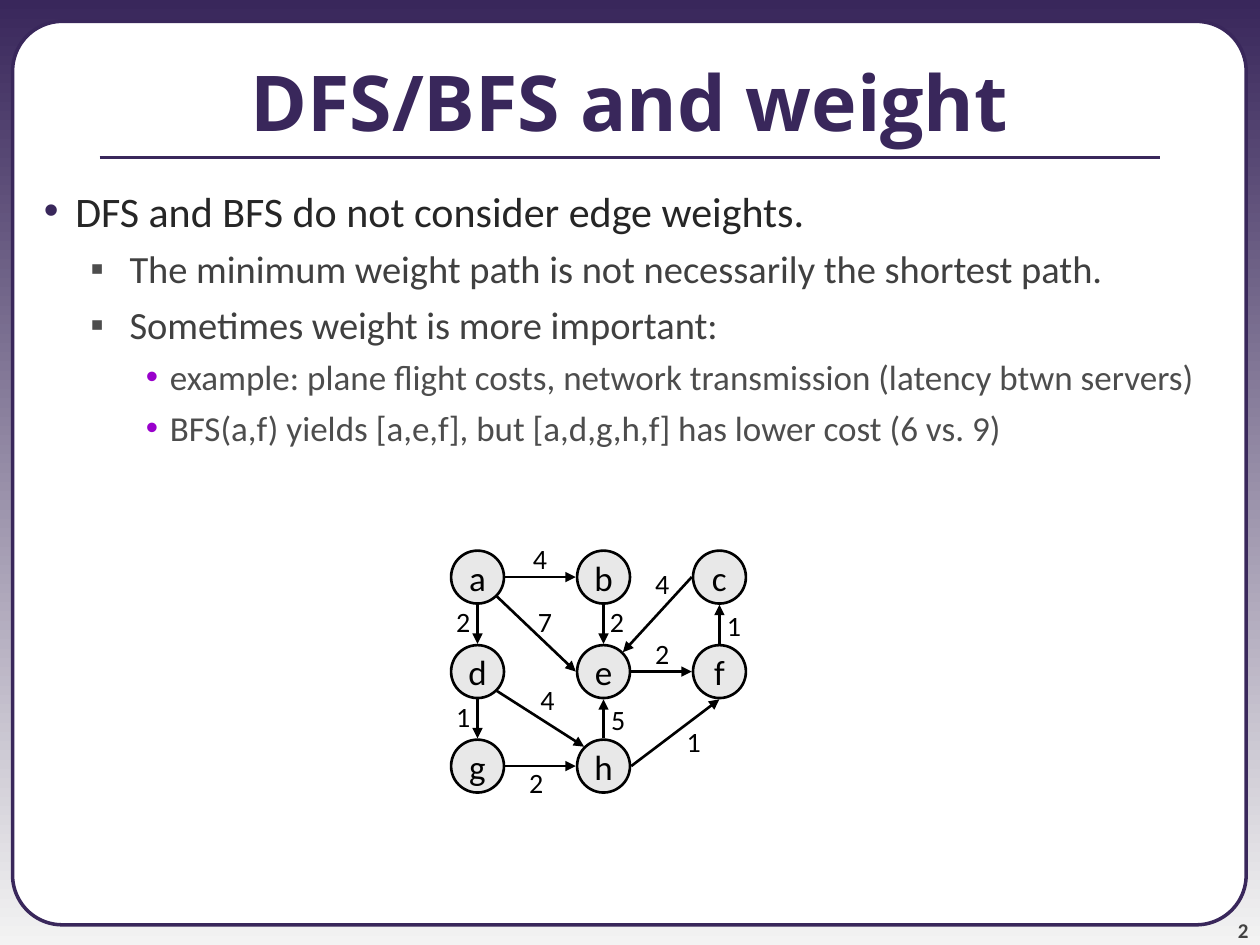
from lxml.etree import SubElement
from pptx import Presentation
from pptx.dml.color import RGBColor
from pptx.enum.shapes import MSO_CONNECTOR, MSO_SHAPE
from pptx.enum.text import MSO_ANCHOR as Anchor, MSO_AUTO_SIZE as AutoSize, PP_ALIGN as Align
from pptx.oxml.ns import qn
from pptx.util import Inches, Pt

PURPLE, BLACK = "39275B", "000000"
TITLE = "DFS/BFS and weight"
PAGE_NUMBER = "2"

LEVELS = [
    dict(size=24, color="262626", before=6, bullet=("•", PURPLE, 0.5, 0.25)),
    dict(size=22, color="404040", before=5.5, bullet=("▪", "4D4D4D", 0.93, 0.31)),
    dict(size=20, color="4D4D4D", before=5, bullet=("•", "9900CC", 1.25, 0.19)),
]
POINTS = [
    (0, "DFS and BFS do not consider edge weights."),
    (1, "The minimum weight path is not necessarily the shortest path."),
    (1, "Sometimes weight is more important:"),
    (2, "example: plane flight costs, network transmission (latency btwn servers)"),
    (2, "BFS(a,f) yields [a,e,f], but [a,d,g,h,f] has lower cost (6 vs. 9)"),
]

NODE_ROWS = ["abc", "def", "gh"]
COLUMN_CENTERS = [3.79, 4.79, 5.71]
FIRST_ROW, ROW_STEP = 4.58, 0.75
NODE_SIZE, EDGE_REACH = 0.42, 0.22
LABEL_WIDTH, LABEL_HEIGHT = 0.31, 0.37
SIDES = {
    "N": (0, -1), "S": (0, 1), "E": (1, 0), "W": (-1, 0),
    "NE": (0.7, -0.7), "NW": (-0.7, -0.7), "SE": (0.7, 0.7),
}
EDGES = [
    ("a", "E", "b", "W", "4", 4.13, 4.25),
    ("a", "SE", "e", "W", "7", 4.17, 4.75),
    ("b", "S", "e", "N", "2", 4.74, 4.75),
    ("c", "W", "e", "NE", "4", 5.1, 4.45),
    ("e", "E", "f", "W", "2", 5.1, 5),
    ("f", "N", "c", "S", "1", 5.67, 4.78),
    ("a", "S", "d", "N", "2", 3.52, 4.75),
    ("d", "S", "g", "N", "1", 3.52, 5.5),
    ("d", "SE", "h", "NW", "4", 4.19, 5.37),
    ("g", "E", "h", "W", "2", 4.1, 6.03),
    ("h", "N", "e", "S", "5", 4.75, 5.53),
    ("h", "E", "f", "S", "1", 5.35, 5.7),
]


def rgb(value):
    return RGBColor.from_string(value)


def write(paragraph, text, size=20, color=BLACK, font="Calibri", bold=False,
          align=Align.LEFT, before=0, bullet=None):
    paragraph.alignment = align
    paragraph.space_before = Pt(before)
    run = paragraph.add_run()
    run.text = text
    run.font.size = Pt(size)
    run.font.name = font
    run.font.bold = bold
    run.font.color.rgb = rgb(color)
    if bullet:
        character, bullet_color, margin, hanging = bullet
        properties = paragraph._p.get_or_add_pPr()
        properties.set("marL", str(Inches(margin)))
        properties.set("indent", str(-Inches(hanging)))
        holder = SubElement(properties, qn("a:buClr"))
        SubElement(holder, qn("a:srgbClr"), val=bullet_color)
        SubElement(properties, qn("a:buFont"), typeface="Arial")
        SubElement(properties, qn("a:buChar"), char=character)


def add_text_box(shapes, left, top, width, height, anchor=Anchor.TOP, wrap=True):
    box = shapes.add_textbox(Inches(left), Inches(top), Inches(width), Inches(height))
    box.text_frame.word_wrap = wrap
    box.text_frame.vertical_anchor = anchor
    return box.text_frame


def add_filled_shape(shapes, kind, left, top, width, height, fill, line, line_width):
    shape = shapes.add_shape(kind, Inches(left), Inches(top), Inches(width), Inches(height))
    shape.shadow.inherit = False
    shape.fill.solid()
    shape.fill.fore_color.rgb = rgb(fill)
    shape.line.color.rgb = rgb(line)
    shape.line.width = Pt(line_width)
    return shape


def add_line(shapes, start, end, color, width, arrow=False):
    line = shapes.add_connector(MSO_CONNECTOR.STRAIGHT, *map(Inches, start + end))
    line.line.color.rgb = rgb(color)
    line.line.width = Pt(width)
    if arrow:
        SubElement(line.line._get_or_add_ln(), qn("a:tailEnd"), type="triangle")
    SubElement(line._element.spPr, qn("a:effectLst"))


def add_frame(slide):
    fill = slide.background.fill
    fill.gradient()
    fill.gradient_angle = 270
    for stop, color in zip(fill.gradient_stops, (PURPLE, "F3F3F3")):
        stop.color.rgb = rgb(color)
    panel = add_filled_shape(slide.shapes, MSO_SHAPE.ROUNDED_RECTANGLE,
                             0.1, 0.17, 9.79, 7.17, "FFFFFF", PURPLE, 2)
    panel.adjustments[0] = 0.055
    number = add_text_box(slide.shapes, 9.08, 7.08, 0.83, 0.4, Anchor.BOTTOM)
    number.margin_left = number.margin_right = number.margin_top = number.margin_bottom = 0
    write(number.paragraphs[0], PAGE_NUMBER, size=12, color="424242", bold=True,
          align=Align.RIGHT, before=5)
    add_line(slide.shapes, (0.79, 1.25), (9.21, 1.25), PURPLE, 2.25)


def add_content(slide):
    title = add_text_box(slide.shapes, 0, 0.17, 10, 1.25, Anchor.MIDDLE)
    write(title.paragraphs[0], TITLE, size=44, color=PURPLE, font="Open Sans",
          bold=True, align=Align.CENTER)
    body = add_text_box(slide.shapes, 0, 1.42, 10, 6.08)
    for index, (level, text) in enumerate(POINTS):
        paragraph = body.add_paragraph() if index else body.paragraphs[0]
        paragraph.level = level
        write(paragraph, text, **LEVELS[level])


def add_graph(slide):
    shapes = slide.shapes.add_group_shape().shapes
    centers = {
        name: (x, FIRST_ROW + row * ROW_STEP)
        for row, names in enumerate(NODE_ROWS)
        for name, x in zip(names, COLUMN_CENTERS)
    }

    def edge_point(name, side):
        return tuple(c + EDGE_REACH * d for c, d in zip(centers[name], SIDES[side]))

    for name, (x, y) in centers.items():
        node = add_filled_shape(shapes, MSO_SHAPE.OVAL, x - NODE_SIZE / 2, y - NODE_SIZE / 2,
                                NODE_SIZE, NODE_SIZE, "E8E8E8", BLACK, 1.5)
        node.text_frame.word_wrap = False
        node.text_frame.vertical_anchor = Anchor.MIDDLE
        write(node.text_frame.paragraphs[0], name, align=Align.CENTER)

    for source, source_side, target, target_side, weight, left, top in EDGES:
        add_line(shapes, edge_point(source, source_side), edge_point(target, target_side),
                 BLACK, 1.5, arrow=True)
        label = add_text_box(shapes, left, top, LABEL_WIDTH, LABEL_HEIGHT, wrap=False)
        label.auto_size = AutoSize.SHAPE_TO_FIT_TEXT
        write(label.paragraphs[0], weight, size=16, align=Align.RIGHT)


def main():
    presentation = Presentation()
    presentation.slide_width = Inches(10)
    presentation.slide_height = Inches(7.5)
    slide = presentation.slides.add_slide(presentation.slide_layouts[6])
    add_frame(slide)
    add_content(slide)
    add_graph(slide)
    presentation.save("out.pptx")


if __name__ == "__main__":
    main()
